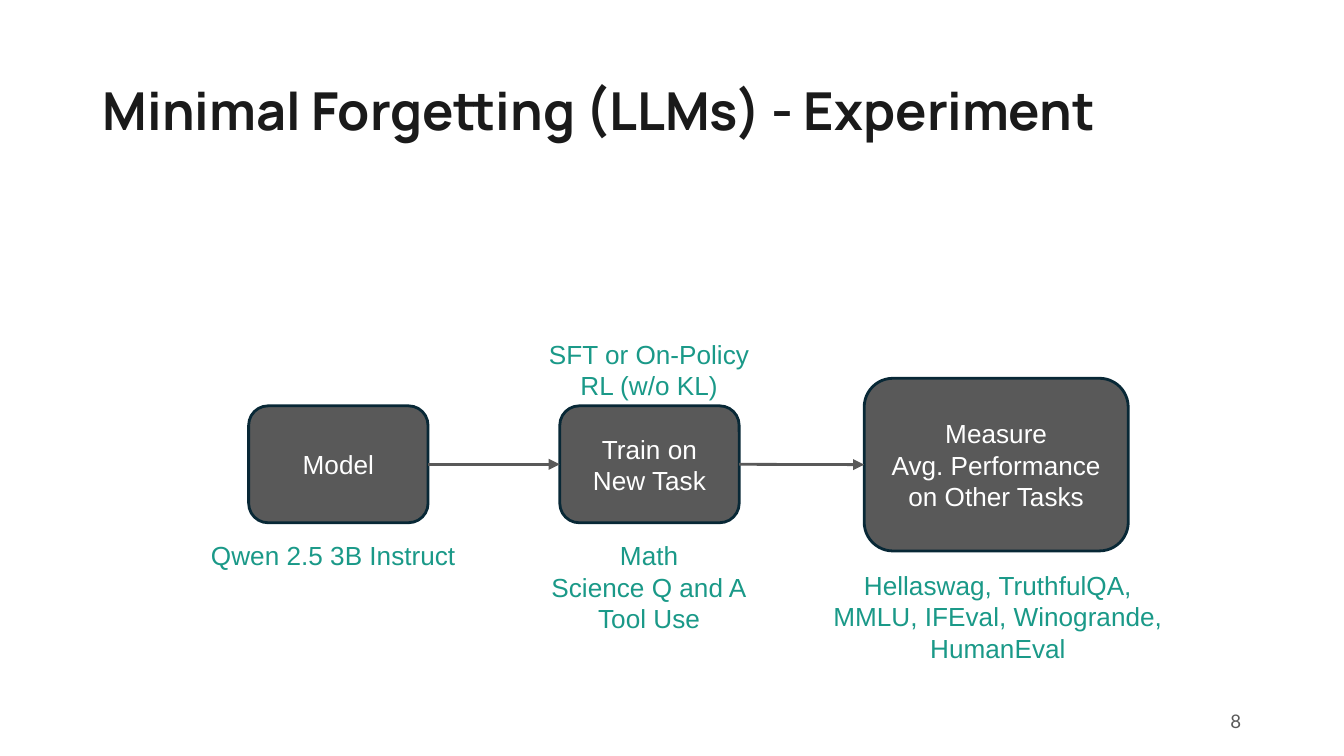
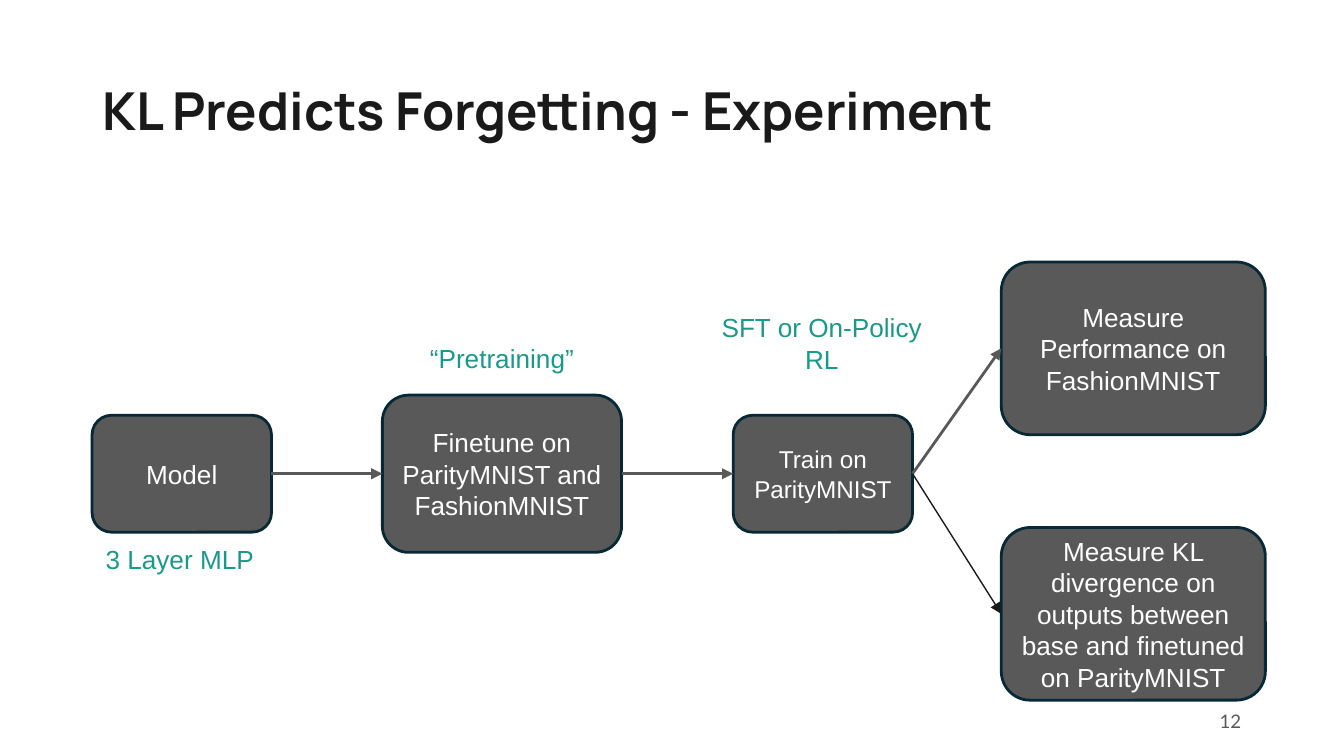
from lxml import etree
from pptx import Presentation
from pptx import util as u
from pptx.dml.color import RGBColor
from pptx.enum import shapes, text
from pptx.oxml import ns

PX = 4572
COLORS = {
    "ink": "1A1A1A",
    "box": "595959",
    "outline": "082836",
    "label": "1A9988",
    "white": "FFFFFF",
}
TITLE_BOX = (138, 60, 1724, 218)
NUMBER_BOX = (1412, 1043, 450, 60)
STEP_SIZE = (267, 174)
MEASURE_SIZE = (393, 257)
LEFT_SITE, RIGHT_SITE = 1, 3
CENTER = text.PP_ALIGN.CENTER
LEFT = text.PP_ALIGN.LEFT
RIGHT = text.PP_ALIGN.RIGHT
MIDDLE = text.MSO_ANCHOR.MIDDLE
TOP = text.MSO_ANCHOR.TOP


def px(*lengths):
    return [u.Emu(length * PX) for length in lengths]


def color(name):
    return RGBColor.from_string(COLORS[name])


def write(shape, content, size, color_name, align=CENTER, anchor=MIDDLE,
          font="Arial", bold=False):
    frame = shape.text_frame
    frame.text = content
    frame.word_wrap = True
    frame.auto_size = text.MSO_AUTO_SIZE.NONE
    frame.vertical_anchor = anchor
    frame.margin_left, frame.margin_right = px(15, 15)
    frame.margin_top, frame.margin_bottom = px(8, 8)
    for paragraph in frame.paragraphs:
        paragraph.alignment = align
        for run in paragraph.runs:
            run.font.name = font
            run.font.size = u.Pt(size)
            run.font.bold = bold
            run.font.color.rgb = color(color_name)
    return frame


def add_slide(presentation, title, number):
    slide = presentation.slides.add_slide(presentation.slide_layouts[5])
    heading = slide.shapes.title
    heading.left, heading.top, heading.width, heading.height = px(*TITLE_BOX)
    frame = write(heading, title, 28, "ink", LEFT, font="Manrope", bold=True)
    frame.paragraphs[0].line_spacing = 0.9
    number_box = slide.shapes.add_textbox(*px(*NUMBER_BOX))
    write(number_box, str(number), 10, "box", RIGHT, font="Lato")
    return slide


def add_step(slide, content, left, top, width, height, size=14):
    shape = slide.shapes.add_shape(
        shapes.MSO_SHAPE.ROUNDED_RECTANGLE, *px(left, top, width, height))
    shape.shadow.inherit = False
    shape.fill.solid()
    shape.fill.fore_color.rgb = color("box")
    shape.line.color.rgb = color("outline")
    shape.line.width = u.Pt(1.5)
    write(shape, content, size, "white")
    return shape


def add_label(slide, content, left, top, width, height, align=CENTER):
    label = slide.shapes.add_textbox(*px(left, top, width, height))
    frame = write(label, content, 14, "label", align, TOP)
    frame.auto_size = text.MSO_AUTO_SIZE.SHAPE_TO_FIT_TEXT


def add_arrow(slide, source, target, color_name="box", width=1.5):
    arrow = slide.shapes.add_connector(
        shapes.MSO_CONNECTOR.STRAIGHT, 0, 0, 0, 0)
    arrow.begin_connect(source, RIGHT_SITE)
    arrow.end_connect(target, LEFT_SITE)
    arrow.line.color.rgb = color(color_name)
    arrow.line.width = u.Pt(width)
    line = arrow.line._get_or_add_ln()
    etree.SubElement(line, ns.qn("a:tailEnd"), type="triangle")
    etree.SubElement(arrow._element.spPr, ns.qn("a:effectLst"))


def build_forgetting(presentation):
    slide = add_slide(
        presentation, "Minimal Forgetting (LLMs) - Experiment", 8)
    model = add_step(slide, "Model", 370, 604, *STEP_SIZE)
    train = add_step(slide, "Train on\nNew Task", 833, 604, *STEP_SIZE)
    measure = add_step(
        slide, "Measure\nAvg. Performance on Other Tasks",
        1286, 563, *MEASURE_SIZE)
    add_arrow(slide, model, train)
    add_arrow(slide, train, measure)
    add_label(slide, "Qwen 2.5 3B Instruct", 299, 795, 408, 62, LEFT)
    add_label(slide, "Math\nScience Q and A\nTool Use", 780, 795, 372, 156)
    add_label(
        slide, "Hellaswag, TruthfulQA, MMLU, IFEval, Winogrande, HumanEval",
        1225, 839, 520, 156)
    add_label(slide, "SFT or On-Policy RL (w/o KL)", 780, 495, 372, 110)


def build_prediction(presentation):
    slide = add_slide(presentation, "KL Predicts Forgetting - Experiment", 12)
    model = add_step(slide, "Model", 137, 618, *STEP_SIZE)
    finetune = add_step(
        slide, "Finetune on ParityMNIST and FashionMNIST", 569, 588, 356, 234)
    train = add_step(
        slide, "Train on\nParityMNIST", 1091, 618, *STEP_SIZE, size=13)
    performance = add_step(
        slide, "Measure Performance on FashionMNIST", 1490, 390, *MEASURE_SIZE)
    divergence = add_step(
        slide,
        "Measure KL divergence on outputs between base and finetuned "
        "on ParityMNIST",
        1490, 785, *MEASURE_SIZE)
    add_arrow(slide, model, finetune)
    add_arrow(slide, finetune, train)
    add_arrow(slide, train, performance)
    add_arrow(slide, train, divergence, "ink", 0.75)
    add_label(slide, "3 Layer MLP", 142, 801, 258, 62, LEFT)
    add_label(slide, "“Pretraining”", 561, 502, 372, 62)
    add_label(slide, "SFT or On-Policy RL", 1037, 456, 372, 110)


def main():
    presentation = Presentation()
    presentation.slide_width, presentation.slide_height = px(2000, 1125)
    build_forgetting(presentation)
    build_prediction(presentation)
    presentation.save("out.pptx")


if __name__ == "__main__":
    main()
